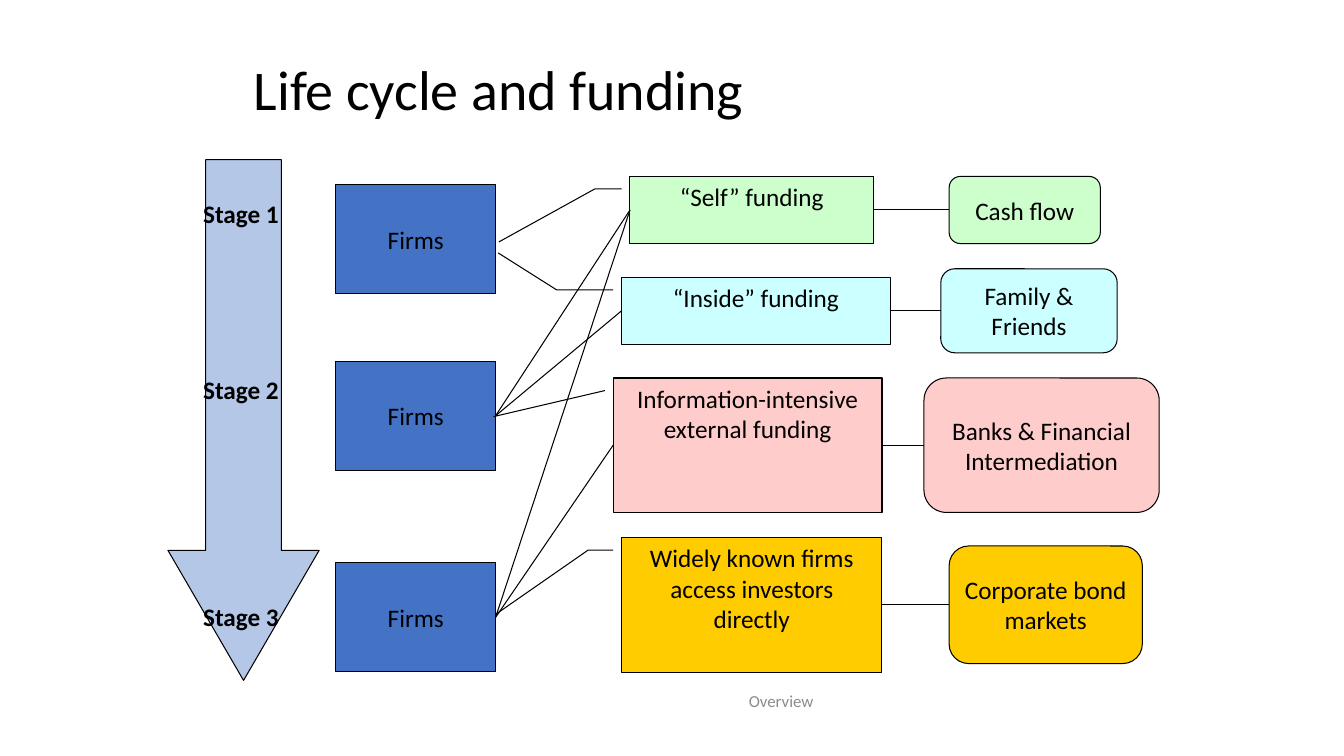
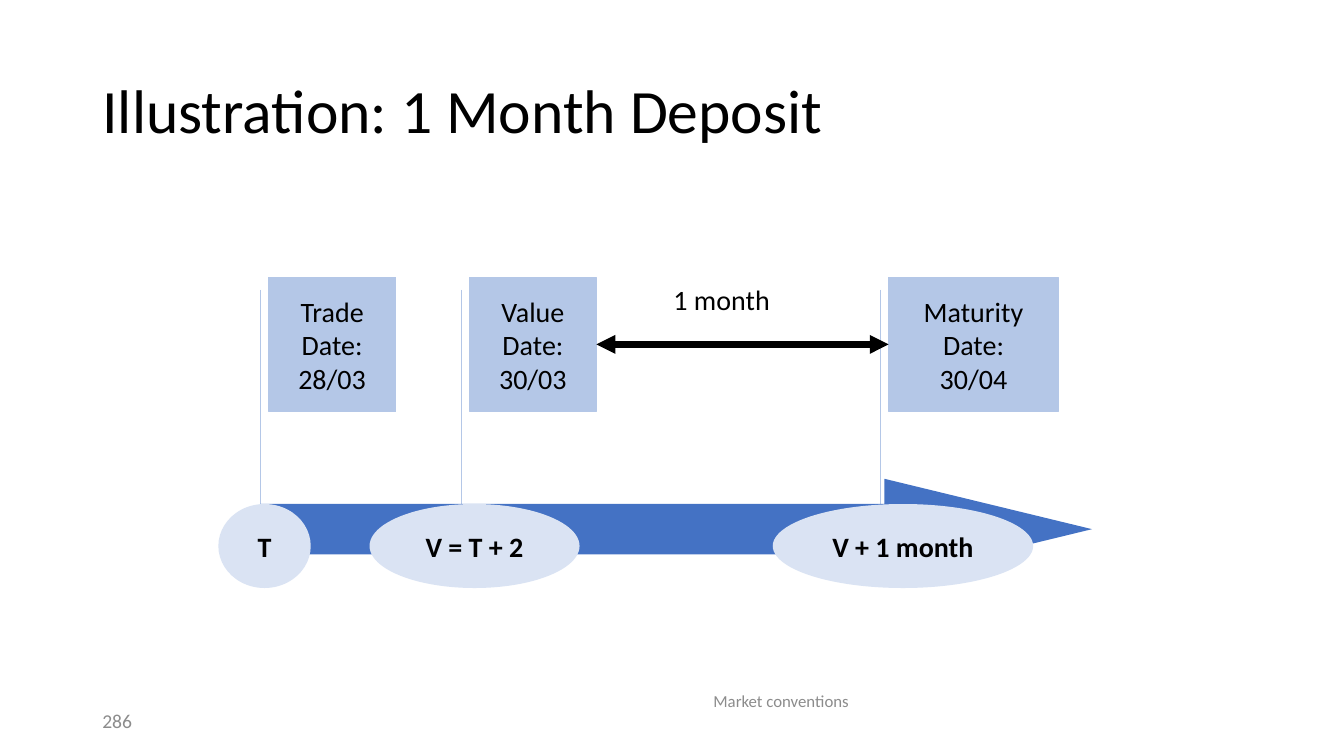
from dataclasses import dataclass
from typing import NamedTuple

from lxml.etree import SubElement
from pptx import Presentation
from pptx.dml.color import RGBColor
from pptx.enum.shapes import MSO_CONNECTOR, MSO_SHAPE
from pptx.enum.text import MSO_ANCHOR, MSO_AUTO_SIZE, PP_ALIGN
from pptx.oxml.ns import qn
from pptx.util import Emu, Inches, Pt

COLS, ROWS = 160, 90
UNIT = Inches(1) / 12
LEFT, RIGHT = 1, 3


@dataclass(frozen=True)
class Theme:
    """Colours, font and type sizes shared by the slides."""
    font: str = "Calibri"
    ink: str = "000000"
    muted: str = "8C8C8C"
    blue: str = "4472C4"
    light_blue: str = "B4C7E7"
    pale_blue: str = "DAE3F3"
    green: str = "CCFFCC"
    cyan: str = "CCFFFF"
    pink: str = "FFCCCC"
    gold: str = "FFCC00"
    title: int = 44
    small_title: int = 40
    large: int = 20
    body: int = 18
    number: int = 14
    footer: int = 12
    outline: float = 0.75
    thin: float = 0.5
    thick: float = 4.5


THEME = Theme()


class Box(NamedTuple):
    """A region measured in grid columns and rows."""
    x: float
    y: float
    w: float
    h: float

    def sub(self, x, y, w, h):
        """Return a box placed relative to this one."""
        return Box(self.x + x, self.y + y, w, h)

    def emu(self):
        """Return left, top, width and height in slide units."""
        return [Emu(round(v * UNIT)) for v in self]

    def left_mid(self):
        """Return the middle of the left side."""
        return self.x, self.y + self.h / 2

    def right_mid(self):
        """Return the middle of the right side."""
        return self.x + self.w, self.y + self.h / 2


FOOTER = Box(46.1, 80.6, 93.8, 5.6)
NUMBER = Box(11, 83.4, 36, 4.8)


def write(sp, text, size, color=THEME.ink, bold=False, align=PP_ALIGN.CENTER,
          anchor=MSO_ANCHOR.MIDDLE, wrap=True):
    """Put formatted text into a shape."""
    tf = sp.text_frame
    tf.text = text
    tf.word_wrap = wrap
    tf.auto_size = MSO_AUTO_SIZE.NONE
    tf.vertical_anchor = anchor
    for p in tf.paragraphs:
        p.alignment = align
        p.font.name = THEME.font
        p.font.size = Pt(size)
        p.font.bold = bold
        p.font.color.rgb = RGBColor.from_string(color)


def add_text(slide, box, text, size, **style):
    """Add a text box."""
    write(slide.shapes.add_textbox(*box.emu()), text, size, **style)


def add_shape(slide, kind, box, fill, line=None, width=THEME.outline):
    """Add a flat preset shape."""
    sp = slide.shapes.add_shape(kind, *box.emu())
    sp.shadow.inherit = False
    sp.fill.solid()
    sp.fill.fore_color.rgb = RGBColor.from_string(fill)
    if line:
        sp.line.color.rgb = RGBColor.from_string(line)
        sp.line.width = Pt(width)
    else:
        sp.line.fill.background()
    return sp


def add_callout(slide, box, fill, leader, line=THEME.ink, width=THEME.outline):
    """Add a callout whose leader runs through points relative to its box."""
    kind = MSO_SHAPE.LINE_CALLOUT_1 if len(leader) == 2 else MSO_SHAPE.LINE_CALLOUT_2
    sp = add_shape(slide, kind, box, fill, line, width)
    for i, (x, y) in enumerate(leader):
        sp.adjustments[2 * i] = y / box.h
        sp.adjustments[2 * i + 1] = x / box.w
    return sp


def add_line(slide, start, end, width=THEME.outline, arrows=False):
    """Add a straight connector between two grid points."""
    ends = [Emu(round(v * UNIT)) for v in (*start, *end)]
    c = slide.shapes.add_connector(MSO_CONNECTOR.STRAIGHT, *ends)
    c.line.color.rgb = RGBColor.from_string(THEME.ink)
    c.line.width = Pt(width)
    if arrows:
        ln = c.element.spPr.find(qn("a:ln"))
        for tag in ("a:headEnd", "a:tailEnd"):
            SubElement(ln, qn(tag)).set("type", "triangle")
    SubElement(c.element.spPr, qn("a:effectLst"))
    return c


def new_slide(prs, title, box, size, footer):
    """Add a title-only slide with its title and footer."""
    slide = prs.slides.add_slide(prs.slide_layouts[5])
    sp = slide.shapes.title
    sp.left, sp.top, sp.width, sp.height = box.emu()
    write(sp, title, size, align=PP_ALIGN.LEFT)
    sp.text_frame.paragraphs[0].line_spacing = 0.9
    add_text(slide, FOOTER, footer, THEME.footer, color=THEME.muted)
    return slide


def stage_arrow(slide, box):
    """Draw the downward arrow with its stage labels."""
    sp = add_shape(slide, MSO_SHAPE.DOWN_ARROW, box, THEME.light_blue, THEME.ink)
    sp.adjustments[0], sp.adjustments[1] = 0.5, 0.86
    for i, row in enumerate((4, 25, 52), 1):
        add_text(slide, box.sub(3, row, 15, 4.8), f"Stage {i}", THEME.body, bold=True,
                 align=PP_ALIGN.LEFT, anchor=MSO_ANCHOR.TOP)


def firm_column(slide, box):
    """Draw the firm of each stage and return boxes with shapes."""
    firms = []
    for row in (0, 21, 45):
        firm = box.sub(0, row, box.w, 13)
        sp = add_shape(slide, MSO_SHAPE.RECTANGLE, firm, THEME.blue, THEME.ink)
        write(sp, "Firms", THEME.body, wrap=False)
        firms.append((firm, sp))
    return firms


def funding_rows(slide, box):
    """Draw funding types joined to their providers and return the type boxes."""
    rows = [
        ("“Self” funding", (2, 0, 29, 8), [(-1, 1.5), (-4.2, 1.5), (-15.6, 7.8)],
         "Cash flow", (40, 0, 18, 8), THEME.green),
        ("“Inside” funding", (1, 12, 32, 8), [(-1, 1.5), (-7.75, 1.5), (-14.7, -2.9)],
         "Family & Friends", (39, 11, 21, 10), THEME.cyan),
        ("Information-intensive external funding", (0, 24, 32, 16),
         [(-1, 1.5), (-14.25, 4.6)],
         "Banks & Financial Intermediation", (37, 24, 28, 16), THEME.pink),
        ("Widely known firms access investors directly", (1, 43, 31, 16),
         [(-1, 1.5), (-4, 1.5), (-15, 9.15)],
         "Corporate bond markets", (40, 44, 23, 14), THEME.gold),
    ]
    types = []
    for name, place, leader, provider, provider_place, fill in rows:
        funding, source = box.sub(*place), box.sub(*provider_place)
        sp = add_callout(slide, funding, fill, leader)
        write(sp, name, THEME.body, anchor=MSO_ANCHOR.TOP)
        sp = add_shape(slide, MSO_SHAPE.ROUNDED_RECTANGLE, source, fill, THEME.ink)
        write(sp, provider, THEME.body)
        c = add_line(slide, funding.right_mid(), source.left_mid())
        c.end_connect(sp, LEFT)
        types.append(funding)
    return types


def life_cycle_slide(prs):
    """Build the slide on funding over the life cycle."""
    slide = new_slide(prs, "Life cycle and funding", Box(29, 2, 102, 18),
                      THEME.small_title, "Overview")
    firms = firm_column(slide, Box(40, 22, 19, 58))
    own, inside, external, _ = funding_rows(slide, Box(73, 21, 65, 59))
    for stage, funding in ((1, inside), (1, own), (2, external), (2, own)):
        firm, sp = firms[stage]
        c = add_line(slide, firm.right_mid(), funding.left_mid())
        c.begin_connect(sp, RIGHT)
    stage_arrow(slide, Box(20, 19, 18, 62))


def date_row(slide, box):
    """Draw the dated callouts and the one-month span."""
    dates = []
    for text, col, width in (("Trade Date:\n28/03", 0, 15.1),
                             ("Value Date:\n30/03", 23.9, 15.1),
                             ("Maturity Date:\n30/04", 73.8, 20.2)):
        date = box.sub(col, 0, width, box.h)
        sp = add_callout(slide, date, THEME.light_blue, [(-1, 1.5), (-1, 1.5), (-1, 31)],
                         THEME.light_blue, THEME.thin)
        write(sp, text, THEME.large)
        dates.append(date)
    add_line(slide, dates[1].right_mid(), dates[2].left_mid(), THEME.thick, arrows=True)
    add_text(slide, box.sub(47, 0, 19, 5.3), "1 month", THEME.large,
             align=PP_ALIGN.LEFT, anchor=MSO_ANCHOR.TOP)


def time_arrow(slide, box):
    """Draw the time arrow with its milestones."""
    sp = add_shape(slide, MSO_SHAPE.RIGHT_ARROW, box, THEME.blue)
    sp.adjustments[0], sp.adjustments[1] = 0.5, 2.06
    for text, col, width in (("T", -5, 11), ("V = T + 2", 13, 25), ("V + 1 month", 61, 31)):
        sp = add_shape(slide, MSO_SHAPE.OVAL, box.sub(col, 3, width, 10), THEME.pale_blue)
        write(sp, text, THEME.large, bold=True, wrap=False)


def deposit_slide(prs):
    """Build the slide on the one-month deposit."""
    slide = new_slide(prs, "Illustration: 1 Month Deposit", Box(11, 4.8, 138, 17.4),
                      THEME.title, "Market conventions")
    date_row(slide, Box(32, 33, 94, 16))
    time_arrow(slide, Box(31, 57, 99, 12))
    add_text(slide, NUMBER, "286", THEME.number, color=THEME.muted, align=PP_ALIGN.LEFT)


def main():
    """Build and save the presentation."""
    prs = Presentation()
    prs.slide_width, prs.slide_height = Emu(round(COLS * UNIT)), Emu(round(ROWS * UNIT))
    life_cycle_slide(prs)
    deposit_slide(prs)
    prs.save("out.pptx")


if __name__ == "__main__":
    main()
